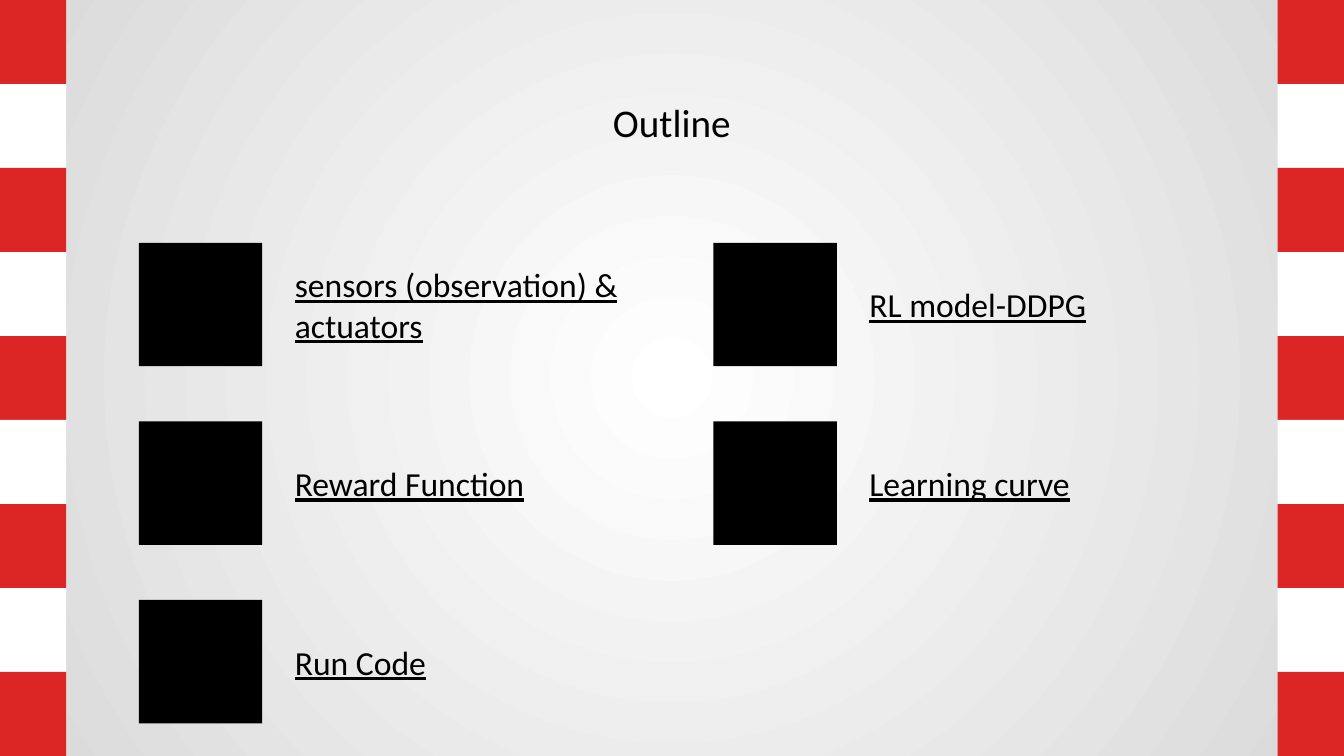
from dataclasses import dataclass

from lxml import etree
from pptx import Presentation
from pptx.dml.color import RGBColor
from pptx.enum.shapes import MSO_SHAPE
from pptx.enum.text import MSO_ANCHOR, PP_ALIGN
from pptx.oxml.ns import qn
from pptx.slide import Slide
from pptx.text.text import TextFrame
from pptx.util import Cm, Pt

RECT = MSO_SHAPE.RECTANGLE
MIDDLE = MSO_ANCHOR.MIDDLE
LEFT, CENTER = PP_ALIGN.LEFT, PP_ALIGN.CENTER

WIDTH, HEIGHT = 33.87, 19.05
BLACK, WHITE, RED, GRAY = "000000", "FFFFFF", "DC2525", "D9D9D9"
FONT = "Calibri"

BANDS = 9
BAND_W = 1.67
GRID_X, GRID_Y = 3.5, 6.12
STEP_X, STEP_Y = 14.48, 4.5
BOX = 3.11
LABEL_DX, LABEL_W = 3.68, 8.69


@dataclass
class Item:
    text: str
    col: int
    row: int


ITEMS = [
    Item("sensors (observation) & actuators", 0, 0),
    Item("Reward Function", 0, 1),
    Item("RL model-DDPG", 1, 0),
    Item("Learning curve", 1, 1),
    Item("Run Code", 0, 2),
]


def color(code: str) -> RGBColor:
    return RGBColor.from_string(code)


def set_back(slide: Slide) -> None:
    """Fill the background with a gradient spreading from the centre."""
    fill = slide.background.fill
    fill.gradient()
    for stop, code in zip(fill.gradient_stops, (WHITE, GRAY)):
        stop.color.rgb = color(code)
    grad = slide.element.find(".//" + qn("a:gradFill"))
    grad.remove(grad.find(qn("a:lin")))
    ring = etree.SubElement(grad, qn("a:path"), {"path": "circle"})
    sides = {side: "50000" for side in "ltrb"}
    etree.SubElement(ring, qn("a:fillToRect"), sides)


def add_box(slide: Slide, x: float, y: float, w: float, h: float, code: str) -> None:
    box = slide.shapes.add_shape(RECT, Cm(x), Cm(y), Cm(w), Cm(h))
    box.shadow.inherit = False
    box.fill.solid()
    box.fill.fore_color.rgb = color(code)
    box.line.fill.background()


def set_text(frame: TextFrame, text: str, size: int, align: PP_ALIGN,
             line: bool = False) -> None:
    frame.text = text
    frame.word_wrap = True
    frame.vertical_anchor = MIDDLE
    frame.margin_left = frame.margin_right = Cm(0.25)
    frame.margin_top = frame.margin_bottom = Cm(0.25)
    para = frame.paragraphs[0]
    para.alignment = align
    font = para.font
    font.name = FONT
    font.size = Pt(size)
    font.underline = line
    font.color.rgb = color(BLACK)


def add_bands(slide: Slide) -> None:
    high = HEIGHT / BANDS
    for x in (0, WIDTH - BAND_W):
        for i in range(BANDS):
            add_box(slide, x, i * high, BAND_W, high, WHITE if i % 2 else RED)


def add_item(slide: Slide, item: Item) -> None:
    x = GRID_X + item.col * STEP_X
    y = GRID_Y + item.row * STEP_Y
    add_box(slide, x, y, BOX, BOX, BLACK)
    label = slide.shapes.add_textbox(Cm(x + LABEL_DX), Cm(y), Cm(LABEL_W), Cm(BOX))
    set_text(label.text_frame, item.text, 24, LEFT, True)


def main() -> None:
    deck = Presentation()
    deck.slide_width, deck.slide_height = Cm(WIDTH), Cm(HEIGHT)
    slide = deck.slides.add_slide(deck.slide_layouts.get_by_name("Title Only"))
    set_back(slide)
    add_bands(slide)
    title = slide.shapes.title
    title.left, title.top = Cm(2.67), Cm(2.01)
    title.width, title.height = Cm(28.52), Cm(2.13)
    set_text(title.text_frame, "Outline", 28, CENTER)
    for item in ITEMS:
        add_item(slide, item)
    deck.save("out.pptx")


if __name__ == "__main__":
    main()
